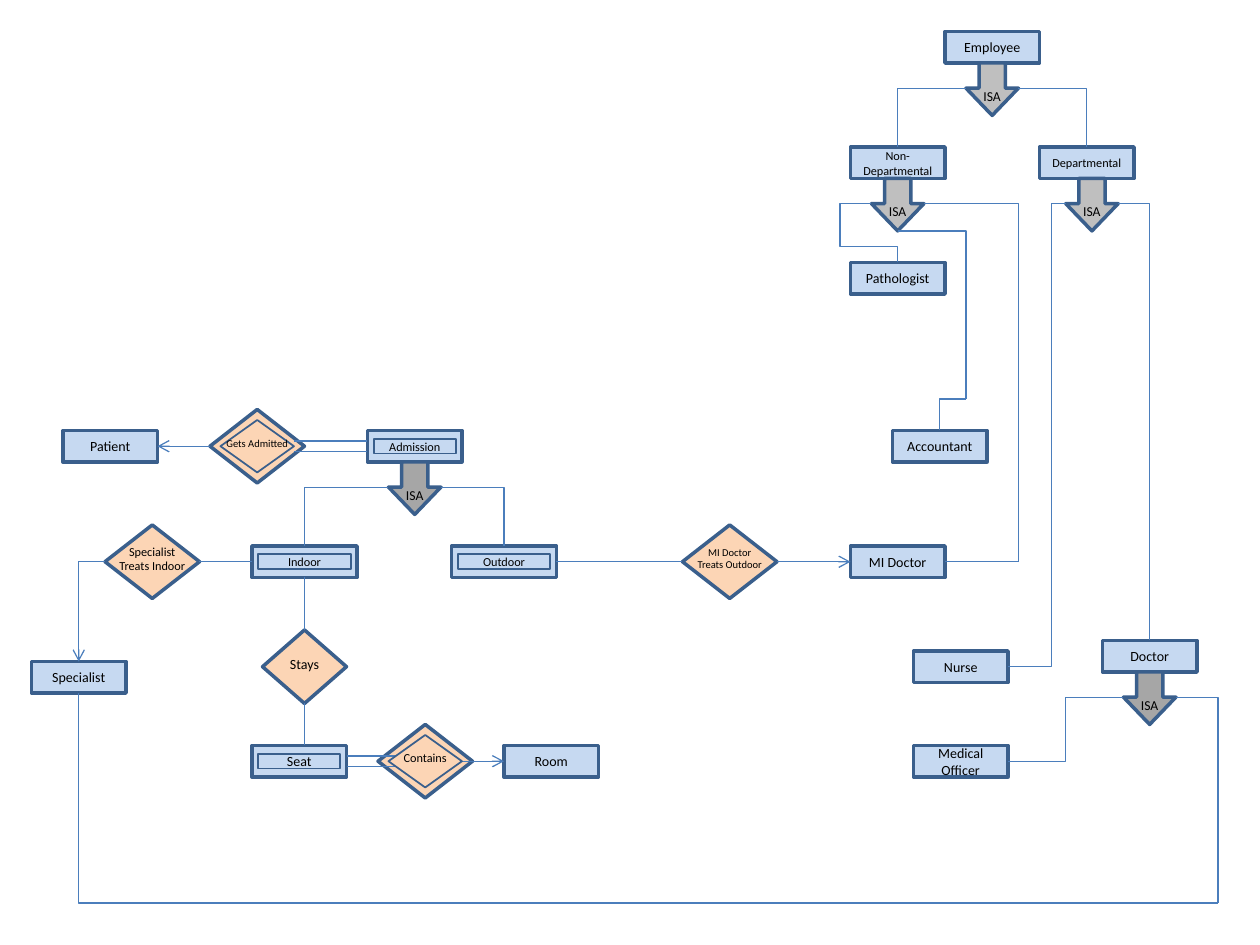
from dataclasses import dataclass

from lxml.etree import SubElement
from pptx import Presentation
from pptx.dml.color import RGBColor
from pptx.enum.shapes import MSO_CONNECTOR as Connector, MSO_SHAPE as Shape
from pptx.enum.text import MSO_ANCHOR as Anchor, PP_ALIGN as Align
from pptx.oxml.ns import qn
from pptx.util import Pt

PX = 7620
TOP, LEFT, BOTTOM, RIGHT = range(4)
ENTITY_WIDTH, ENTITY_HEIGHT = 90, 30
RELATION_WIDTH, RELATION_HEIGHT = 90, 70
ARROW_SIZE, SHOULDER = 50, 24


@dataclass(frozen=True)
class Theme:
    """Colours, line widths and type sizes of the diagram."""
    font: str = "Calibri"
    text: str = "000000"
    entity: str = "C6D9F1"
    relation: str = "FCD5B5"
    light_isa: str = "BFBFBF"
    dark_isa: str = "A6A6A6"
    outline: str = "3A5F8C"
    link: str = "4B7EBC"
    thick: float = 2
    thin: float = 1
    link_width: float = 0.75
    regular: float = 8
    isa: float = 7.8
    small: float = 7
    tiny: float = 6


THEME = Theme()


def add_box(slide, kind, box, fill, width=THEME.thick):
    """Add a filled, outlined shape at a box in px."""
    shape = slide.shapes.add_shape(kind, *(value * PX for value in box))
    shape.shadow.inherit = False
    shape.fill.solid()
    shape.fill.fore_color.rgb = RGBColor.from_string(fill)
    shape.line.color.rgb = RGBColor.from_string(THEME.outline)
    shape.line.width = Pt(width)
    return shape


def write(shape, text, size, margins=(12, 6, 12, 6), wrap=True):
    """Write centred text, one paragraph per line, with margins in px."""
    frame = shape.text_frame
    frame.word_wrap = wrap
    frame.vertical_anchor = Anchor.MIDDLE
    (frame.margin_left, frame.margin_top,
     frame.margin_right, frame.margin_bottom) = (value * PX for value in margins)
    frame.text = text
    for paragraph in frame.paragraphs:
        paragraph.alignment = Align.CENTER
        paragraph.font.name = THEME.font
        paragraph.font.size = Pt(size)
        paragraph.font.color.rgb = RGBColor.from_string(THEME.text)


def add_entity(slide, left, top, text="", size=THEME.regular,
               width=ENTITY_WIDTH, **layout):
    """Add an entity rectangle, left empty when it has no text."""
    shape = add_box(slide, Shape.RECTANGLE, (left, top, width, ENTITY_HEIGHT), THEME.entity)
    if text:
        write(shape, text, size, **layout)
    return shape


def add_relation(slide, left, top, text="", size=THEME.regular, width=RELATION_WIDTH):
    """Add a relationship diamond, left empty when it has no text."""
    shape = add_box(slide, Shape.DIAMOND, (left, top, width, RELATION_HEIGHT), THEME.relation)
    if text:
        write(shape, text, size, (12, 6, 12, 12), False)
    return shape


def add_weak_core(slide, frame, text, size):
    """Add the inner outline and label of a weak entity or relationship."""
    left, top, width, height = (
        value // PX for value in (frame.left, frame.top, frame.width, frame.height))
    if frame.auto_shape_type == Shape.DIAMOND:
        inset_x, inset_y, fill = 10, 10, THEME.relation
        layout = {"margins": (12, 6, 12, 12), "wrap": False}
    else:
        inset_x, inset_y, fill, layout = 6, 8, THEME.entity, {}
    box = (left + inset_x, top + inset_y, width - 2 * inset_x, height - 2 * inset_y)
    core = add_box(slide, frame.auto_shape_type, box, fill, THEME.thin)
    write(core, text, size, **layout)


def side(shape, site):
    """Return the px point in the middle of a side."""
    x, y = {TOP: (1, 0), LEFT: (0, 1), BOTTOM: (1, 2), RIGHT: (2, 1)}[site]
    return ((shape.left + shape.width * x // 2) // PX,
            (shape.top + shape.height * y // 2) // PX)


def shoulder(arrow, site):
    """Return the px point of an ISA arrow's left or right tip."""
    return side(arrow, site)[0], arrow.top // PX + SHOULDER


def add_isa(slide, parent, fill, shift=0):
    """Hang an ISA arrow under the middle of its parent entity."""
    x, y = side(parent, BOTTOM)
    box = (x - ARROW_SIZE // 2 + shift, y, ARROW_SIZE, ARROW_SIZE)
    arrow = add_box(slide, Shape.DOWN_ARROW, box, fill)
    arrow.adjustments[0], arrow.adjustments[1] = 0.5, 0.52
    write(arrow, "ISA", THEME.isa, (0, 26, 0, 0), False)
    return arrow


def style_link(connector, arrow):
    """Colour a connector, drop its shadow and add an optional arrowhead."""
    connector.line.color.rgb = RGBColor.from_string(THEME.link)
    connector.line.width = Pt(THEME.link_width)
    if arrow:
        SubElement(connector.line._get_or_add_ln(), qn("a:tailEnd"), type="arrow")
    SubElement(connector._element.spPr, qn("a:effectLst"))


def add_line(slide, start, end, arrow=False):
    """Draw a straight link; each end is a px point or a (shape, site) pair."""
    points = [item if isinstance(item[0], int) else side(*item) for item in (start, end)]
    connector = slide.shapes.add_connector(
        Connector.STRAIGHT, *(value * PX for point in points for value in point))
    for item, connect in ((start, connector.begin_connect), (end, connector.end_connect)):
        if not isinstance(item[0], int):
            connect(*item)
    style_link(connector, arrow)


def add_bend(slide, start, end, adjustments=(), kind="bentConnector2", arrow=False):
    """Draw a right-angled link that leaves its start horizontally."""
    connector = slide.shapes.add_connector(
        Connector.ELBOW, *(value * PX for value in (*start, *end)))
    geometry = connector._element.spPr.find(qn("a:prstGeom"))
    geometry.set("prst", kind)
    guides = geometry.find(qn("a:avLst"))
    for number, value in enumerate(adjustments, 1):
        SubElement(guides, qn("a:gd"), name=f"adj{number}", fmla=f"val {round(value * 100000)}")
    style_link(connector, arrow)


def add_double_line(slide, start_x, end_x, y):
    """Draw the pair of lines that marks total participation."""
    for offset in (-5, 5):
        add_line(slide, (start_x, y + offset), (end_x, y + offset))


def build_wards(slide, left, top):
    """Draw patients, admissions and seats; return the entities linked to staff."""
    patient = add_entity(slide, left + 30, top + 20, "Patient")
    admission = add_entity(slide, left + 320, top + 20)
    admitted = add_relation(slide, left + 170, top)
    indoor = add_entity(slide, left + 210, top + 130, width=100)
    outdoor = add_entity(slide, left + 400, top + 130, width=100)
    treats = add_relation(slide, left + 70, top + 110, "Specialist\nTreats Indoor", THEME.small)
    specialist = add_entity(slide, left, top + 240, "Specialist")
    stays = add_relation(slide, left + 220, top + 210, "Stays", width=80)
    seat = add_entity(slide, left + 210, top + 320)
    room = add_entity(slide, left + 450, top + 320, "Room")
    contains = add_relation(slide, left + 330, top + 300)
    isa = add_isa(slide, admission, THEME.dark_isa)

    add_double_line(slide, left + 250, left + 320, top + 35)
    add_double_line(slide, left + 300, left + 350, top + 335)
    add_line(slide, (admitted, LEFT), (patient, RIGHT), arrow=True)
    add_line(slide, (left + 410, top + 335), (room, LEFT), arrow=True)
    add_line(slide, (treats, RIGHT), (indoor, LEFT))
    add_line(slide, (indoor, BOTTOM), (stays, TOP))
    add_line(slide, (stays, BOTTOM), (left + 260, top + 320))
    add_bend(slide, shoulder(isa, LEFT), side(indoor, TOP))
    add_bend(slide, shoulder(isa, RIGHT), side(outdoor, TOP))
    add_bend(slide, side(treats, LEFT), side(specialist, TOP), arrow=True)

    for frame, text, size in ((admitted, "Gets Admitted", THEME.tiny),
                              (seat, "Seat", THEME.regular),
                              (admission, "Admission", THEME.small),
                              (contains, "Contains", THEME.small),
                              (indoor, "Indoor", THEME.small),
                              (outdoor, "Outdoor", THEME.small)):
        add_weak_core(slide, frame, text, size)
    return outdoor, specialist


def build_staff(slide, left, top):
    """Draw the employee hierarchy; return the parts linked to wards."""
    employee = add_entity(slide, left + 90, top, "Employee")
    general = add_entity(slide, left, top + 110, "Non-\nDepartmental", THEME.small, wrap=False)
    departmental = add_entity(slide, left + 180, top + 110, "Departmental", THEME.small,
                              margins=(0, 6, 0, 6))
    pathologist = add_entity(slide, left, top + 220, "Pathologist")
    accountant = add_entity(slide, left + 40, top + 380, "Accountant")
    mi_doctor = add_entity(slide, left, top + 490, "MI Doctor")
    nurse = add_entity(slide, left + 60, top + 590, "Nurse")
    doctor = add_entity(slide, left + 240, top + 580, "Doctor")
    officer = add_entity(slide, left + 60, top + 680, "Medical Officer")
    employee_isa = add_isa(slide, employee, THEME.light_isa)
    general_isa = add_isa(slide, general, THEME.light_isa)
    departmental_isa = add_isa(slide, departmental, THEME.light_isa, shift=5)
    doctor_isa = add_isa(slide, doctor, THEME.dark_isa)

    for arrow, site, child in ((employee_isa, LEFT, general),
                               (employee_isa, RIGHT, departmental),
                               (departmental_isa, RIGHT, doctor)):
        add_bend(slide, shoulder(arrow, site), side(child, TOP))
    add_bend(slide, shoulder(general_isa, LEFT), side(pathologist, TOP),
             (-1.2, 0.73), "bentConnector4")
    accountant_turn = (left + 110, top + 350)
    add_bend(slide, side(general_isa, BOTTOM), accountant_turn)
    add_bend(slide, accountant_turn, side(accountant, TOP))
    doctor_turn = (left + 160, top + 505)
    add_bend(slide, shoulder(general_isa, RIGHT), doctor_turn)
    add_line(slide, doctor_turn, (mi_doctor, RIGHT))
    for arrow, child, turn in ((departmental_isa, nurse, 0.25), (doctor_isa, officer, 0.5)):
        add_bend(slide, shoulder(arrow, LEFT), side(child, RIGHT), (turn,), "bentConnector3")
    return mi_doctor, doctor_isa


def build_treatment(slide, left, top, outdoor, mi_doctor):
    """Draw the relationship between outdoor patients and MI doctors."""
    treats = add_relation(slide, left, top, "MI Doctor\nTreats Outdoor", THEME.tiny)
    add_line(slide, (outdoor, RIGHT), (treats, LEFT))
    add_line(slide, (treats, RIGHT), (mi_doctor, LEFT), arrow=True)


def main():
    """Build the hospital entity-relationship slide."""
    presentation = Presentation()
    presentation.slide_width, presentation.slide_height = 1200 * PX, 900 * PX
    slide = presentation.slides.add_slide(presentation.slide_layouts[6])
    outdoor, specialist = build_wards(slide, 30, 390)
    mi_doctor, doctor_isa = build_staff(slide, 810, 30)
    build_treatment(slide, 650, 500, outdoor, mi_doctor)
    corner = (1160, 860)
    add_bend(slide, shoulder(doctor_isa, RIGHT), corner)
    add_bend(slide, corner, side(specialist, BOTTOM))
    presentation.save("out.pptx")


if __name__ == "__main__":
    main()
